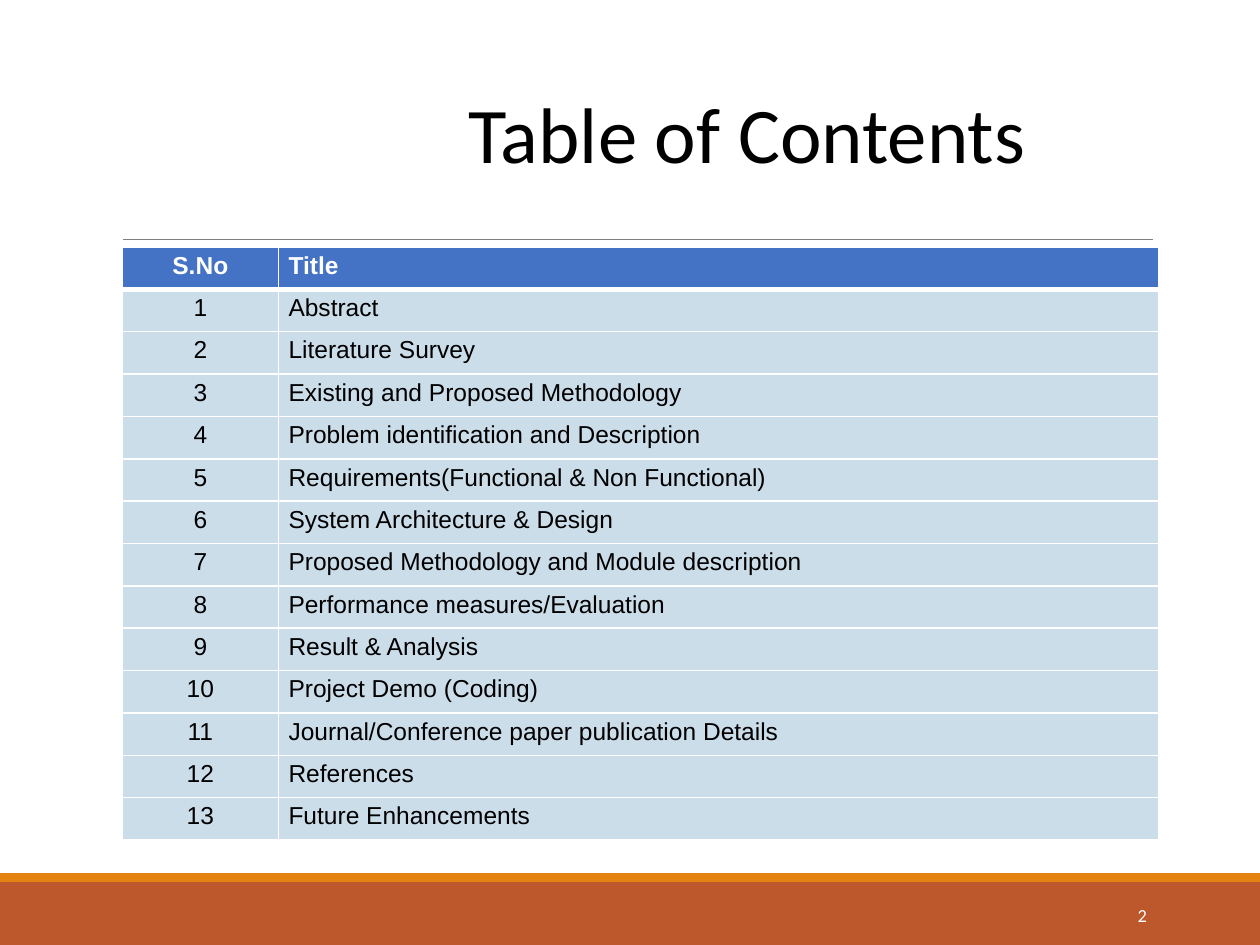
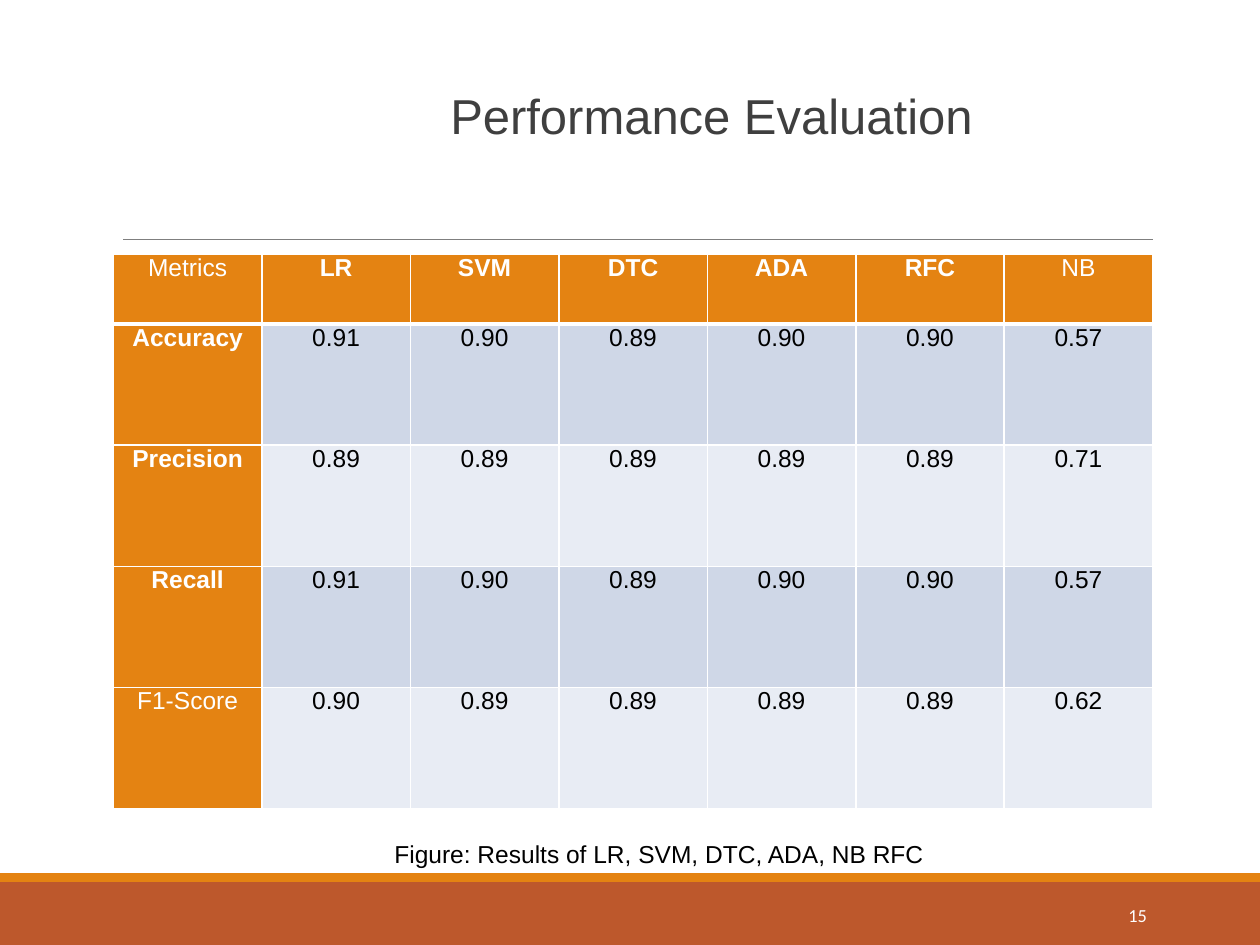
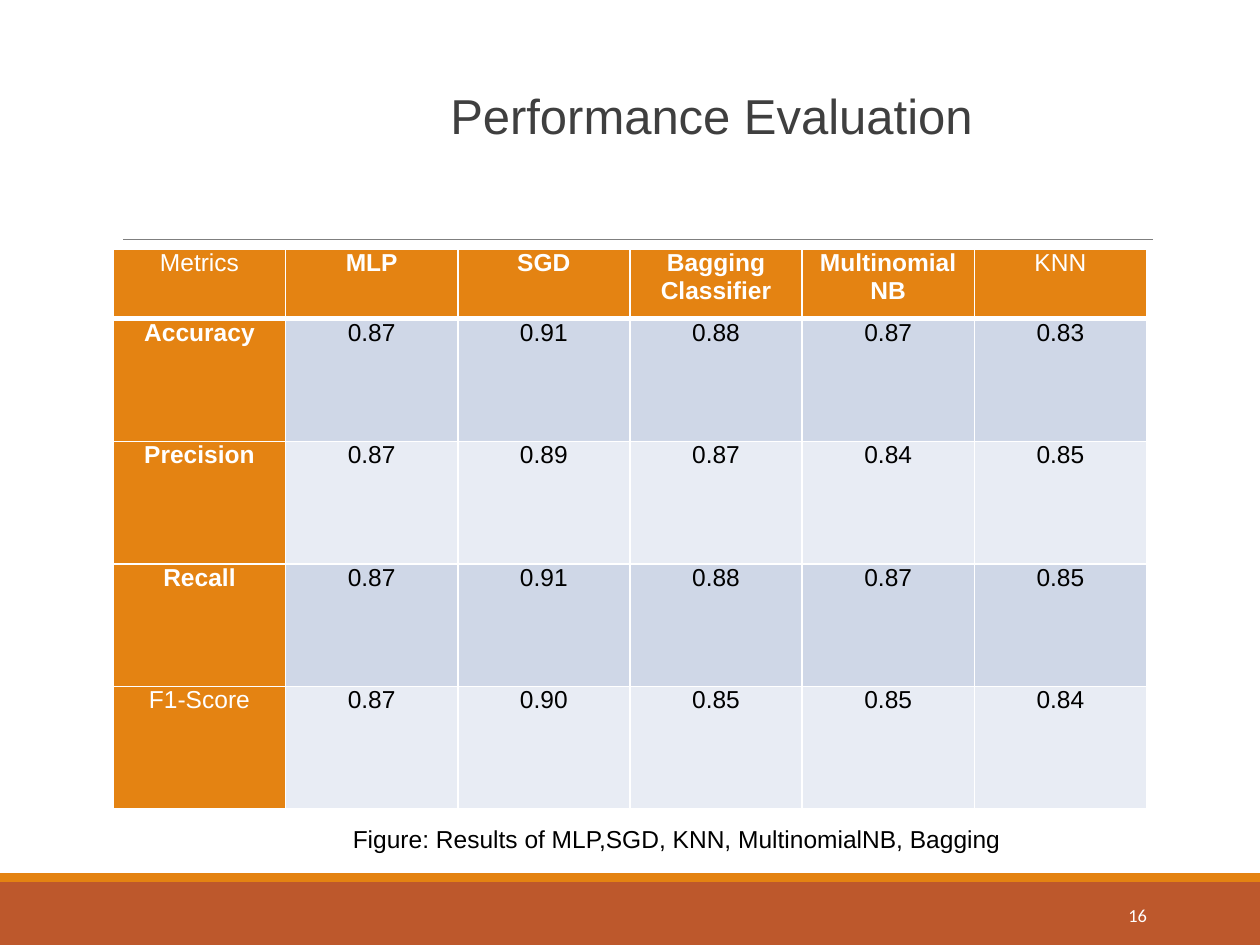
import lxml.etree
import pptx
import pptx.dml.color
import pptx.enum.shapes
import pptx.enum.text
import pptx.oxml.ns
import pptx.util

Inches = pptx.util.Inches
ALIGN = pptx.enum.text.PP_ALIGN
ANCHOR = pptx.enum.text.MSO_ANCHOR

WHITE, BLACK, TITLE_GREY, RULE_GREY = "FFFFFF", "000000", "3F3F3F", "7F7F7F"
RUST, ORANGE, BLUE = "BD582C", "E48312", "4472C4"
CONTENTS_FILL = "CCDDEA"
BAND_FILLS = ("CFD7E7", "E8ECF4")
PLAIN_LABELS = ("Metrics", "NB", "KNN", "F1-Score")
THIN, THICK = 1, 3

CONTENTS = (
    "Abstract",
    "Literature Survey",
    "Existing and Proposed Methodology",
    "Problem identification and Description",
    "Requirements(Functional & Non Functional)",
    "System Architecture & Design",
    "Proposed Methodology and Module description",
    "Performance measures/Evaluation",
    "Result & Analysis",
    "Project Demo (Coding)",
    "Journal/Conference paper publication Details",
    "References",
    "Future Enhancements",
)

FIRST_SCORES = (
    ("Metrics", "LR", "SVM", "DTC", "ADA", "RFC", "NB"),
    ("Accuracy", "0.91", "0.90", "0.89", "0.90", "0.90", "0.57"),
    ("Precision", "0.89", "0.89", "0.89", "0.89", "0.89", "0.71"),
    ("Recall", "0.91", "0.90", "0.89", "0.90", "0.90", "0.57"),
    ("F1-Score", "0.90", "0.89", "0.89", "0.89", "0.89", "0.62"),
)
SECOND_SCORES = (
    ("Metrics", "MLP", "SGD", "Bagging Classifier", "MultinomialNB", "KNN"),
    ("Accuracy", "0.87", "0.91", "0.88", "0.87", "0.83"),
    ("Precision", "0.87", "0.89", "0.87", "0.84", "0.85"),
    ("Recall", "0.87", "0.91", "0.88", "0.87", "0.85"),
    ("F1-Score", "0.87", "0.90", "0.85", "0.85", "0.84"),
)


def colour(value):
    """Turn a hex string into a colour."""
    return pptx.dml.color.RGBColor.from_string(value)


def style_paragraph(para, size, ink, font="Arial", align=ALIGN.LEFT, bold=False):
    """Set the font and alignment of a paragraph."""
    para.alignment = align
    para.font.size = pptx.util.Pt(size)
    para.font.name = font
    para.font.bold = bold
    para.font.color.rgb = colour(ink)


def set_margins(target, margins):
    """Set left, top, right and bottom margins of a frame or cell."""
    for side, margin in zip(("left", "top", "right", "bottom"), margins):
        setattr(target, f"margin_{side}", Inches(margin))


def add_text(page, box, text, size, ink, margins=(0.1, 0.05, 0.1, 0.05),
             anchor=ANCHOR.TOP, **style):
    """Add one styled paragraph in a text box."""
    frame = page.shapes.add_textbox(*map(Inches, box)).text_frame
    frame.word_wrap = True
    frame.vertical_anchor = anchor
    set_margins(frame, margins)
    para = frame.paragraphs[0]
    para.text = text
    style_paragraph(para, size, ink, **style)


def add_band(page, box, fill):
    """Add a filled band without an outline."""
    band = page.shapes.add_shape(
        pptx.enum.shapes.MSO_SHAPE.RECTANGLE, *map(Inches, box))
    band.shadow.inherit = False
    band.fill.solid()
    band.fill.fore_color.rgb = colour(fill)
    band.line.fill.background()


def add_page(deck, number):
    """Add a slide with the shared bands, title rule and page number."""
    page = deck.slides.add_slide(deck.slide_layouts[6])
    add_band(page, (0, 7, 10, 0.5), RUST)
    add_band(page, (0, 6.93, 10, 0.07), ORANGE)
    rule = page.shapes.add_connector(
        pptx.enum.shapes.MSO_CONNECTOR.STRAIGHT,
        Inches(0.98), Inches(1.9), Inches(9.15), Inches(1.9))
    rule.line.color.rgb = colour(RULE_GREY)
    rule.line.width = pptx.util.Pt(0.75)
    lxml.etree.SubElement(
        rule._element.spPr, pptx.oxml.ns.qn("a:effectLst"))
    add_text(page, (8.12, 7.06, 1.08, 0.4), str(number), 10.5, WHITE,
             anchor=ANCHOR.MIDDLE, font="Calibri", align=ALIGN.RIGHT)
    return page


def border_cell(cell, row):
    """Draw white cell borders, thick between header and body."""
    properties = cell._tc.get_or_add_tcPr()
    widths = {"L": THIN, "R": THIN,
              "T": THICK if row == 1 else THIN,
              "B": THICK if row == 0 else THIN}
    for side, width in widths.items():
        line = lxml.etree.SubElement(
            properties, pptx.oxml.ns.qn(f"a:ln{side}"), w=str(pptx.util.Pt(width)))
        fill = lxml.etree.SubElement(line, pptx.oxml.ns.qn("a:solidFill"))
        lxml.etree.SubElement(fill, pptx.oxml.ns.qn("a:srgbClr"), val=WHITE)


def add_grid(page, box, rows, widths, heights, margins, cell_style):
    """Add a table whose cell_style gives fill, ink, bold and alignment."""
    table = page.shapes.add_table(
        len(rows), len(widths), *map(Inches, box)).table
    table.horz_banding = False
    for column, width in zip(table.columns, widths):
        column.width = Inches(width)
    for table_row, height in zip(table.rows, heights):
        table_row.height = Inches(height)
    for row, texts in enumerate(rows):
        for column, text in enumerate(texts):
            cell = table.cell(row, column)
            fill, ink, bold, align = cell_style(row, column, text)
            set_margins(cell, margins)
            border_cell(cell, row)
            cell.fill.solid()
            cell.fill.fore_color.rgb = colour(fill)
            para = cell.text_frame.paragraphs[0]
            para.text = text
            style_paragraph(para, 14, ink, align=align, bold=bold)


def contents_style(row, column, text):
    """Style a cell of the table of contents."""
    align = ALIGN.LEFT if column else ALIGN.CENTER
    if row == 0:
        return BLUE, WHITE, True, align
    return CONTENTS_FILL, BLACK, False, align


def score_style(row, column, text):
    """Style a cell of a score table."""
    if row == 0 or column == 0:
        return ORANGE, WHITE, text not in PLAIN_LABELS, ALIGN.CENTER
    return BAND_FILLS[(row - 1) % 2], BLACK, False, ALIGN.CENTER


def contents_page(deck, number, box):
    """Build the table of contents slide."""
    page = add_page(deck, number)
    add_text(page, (3.65, 0.63, 4.74, 0.83), "Table of Contents", 45, BLACK,
             margins=(0.07, 0.04, 0.07, 0.04), font="Calibri")
    rows = [("S.No", "Title")]
    rows += [(str(index), title) for index, title in enumerate(CONTENTS, 1)]
    number_width = 1.24
    add_grid(page, box, rows, (number_width, box[2] - number_width),
             [box[3] / len(rows)] * len(rows), (0.08, 0.04, 0.08, 0.04),
             contents_style)


def evaluation_page(deck, number, box, scores, caption, caption_box, indent):
    """Build a slide with a score table and its caption."""
    page = add_page(deck, number)
    add_text(page, (0.9, 0.31, 8.25, 1.59), "Performance Evaluation", 28,
             TITLE_GREY, margins=(1.34, 0.05, 0.1, 0.44),
             anchor=ANCHOR.MIDDLE, align=ALIGN.CENTER)
    columns, body_rows = len(scores[0]), len(scores) - 1
    header = 0.55
    heights = [header] + [(box[3] - header) / body_rows] * body_rows
    add_grid(page, box, scores, [box[2] / columns] * columns, heights,
             (0.08, 0, 0.08, 0), score_style)
    add_text(page, caption_box, caption, 14, BLACK,
             margins=(indent, 0.05, 0, 0.05))


def main():
    """Build and save the deck."""
    deck = pptx.Presentation()
    deck.slide_width, deck.slide_height = Inches(10), Inches(7.5)
    contents_page(deck, 2, (0.97, 1.96, 8.23, 4.71))
    evaluation_page(deck, 15, (0.9, 2.02, 8.25, 4.4), FIRST_SCORES,
                    "Figure: Results of LR, SVM, DTC, ADA, NB RFC",
                    (1.08, 6.61, 6.48, 0.57), 2.05)
    evaluation_page(deck, 16, (0.9, 1.98, 8.2, 4.44), SECOND_SCORES,
                    "Figure: Results of MLP,SGD, KNN, MultinomialNB, Bagging",
                    (1.14, 6.49, 6.98, 0.34), 1.66)
    deck.save("out.pptx")


if __name__ == "__main__":
    main()
